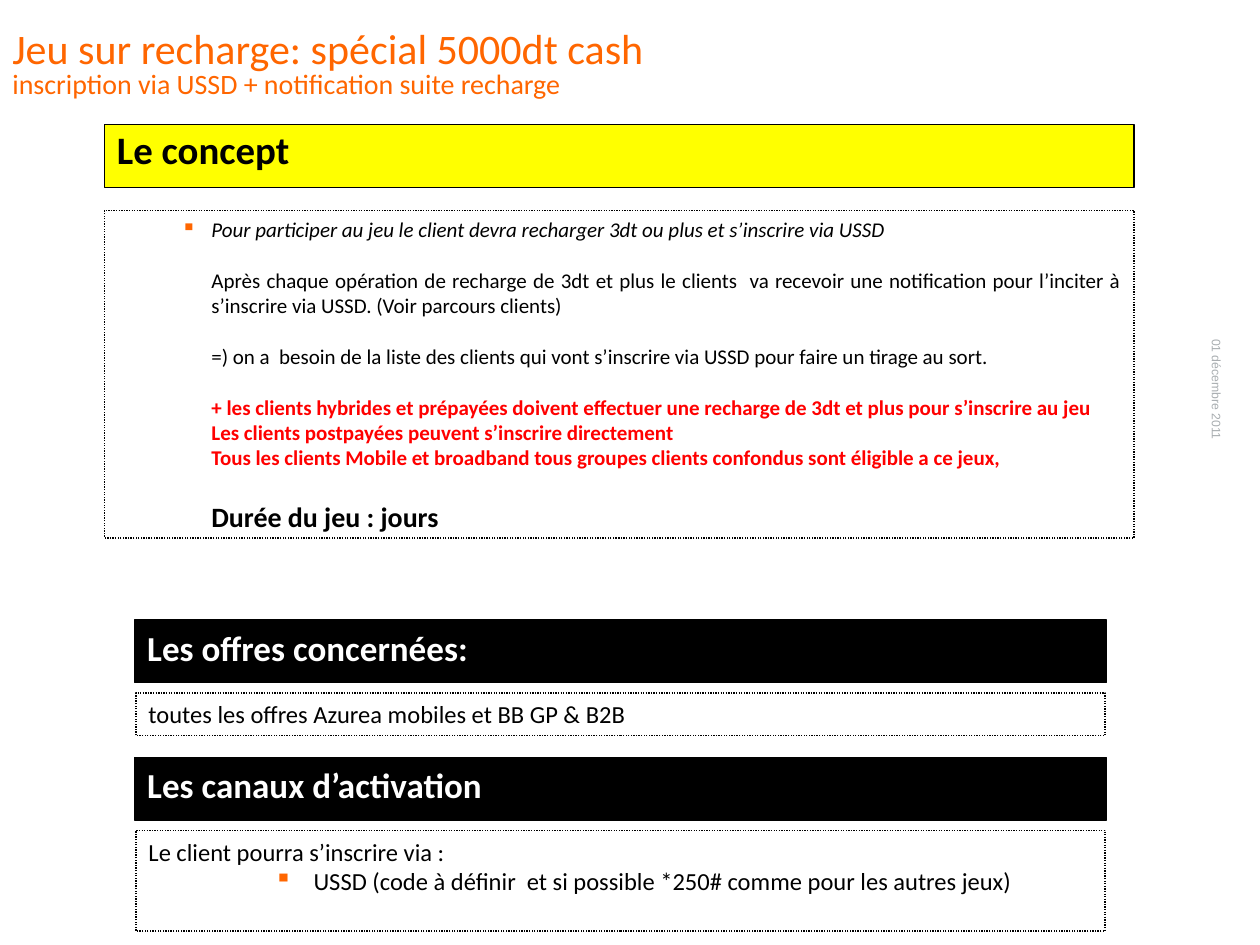
from dataclasses import dataclass

import pptx
import pptx.util
import pptx.dml.color
import pptx.enum.dml
import pptx.enum.shapes
import pptx.enum.text
from lxml import etree
from pptx.oxml.ns import qn
from pptx.util import Inches, Pt

ALIGN = pptx.enum.text.PP_ALIGN


@dataclass(frozen=True)
class Theme:
    font: str = "Calibri"
    date_font: str = "Arial"
    orange: str = "FF6600"
    yellow: str = "FFFF00"
    black: str = "000000"
    white: str = "FFFFFF"
    red: str = "FF0000"
    grey: str = "A8ADB0"
    title: float = 24
    subtitle: float = 16
    concept: float = 22.2
    heading: float = 20
    body: float = 14
    detail: float = 12
    date: float = 7
    line_height: float = 1.22
    outline: float = 0.75


THEME = Theme()


def color(value):
    return pptx.dml.color.RGBColor.from_string(value)


def prepare_frame(shape, inset=True):
    frame = shape.text_frame
    frame.word_wrap = True
    frame.vertical_anchor = pptx.enum.text.MSO_ANCHOR.TOP
    frame.margin_left = frame.margin_right = Inches(0.1 if inset else 0)
    frame.margin_top = frame.margin_bottom = Inches(0.05 if inset else 0)
    return frame


def add_panel(slide, box, fill=None):
    """Add a rectangle: filled with a solid outline, or empty with a dotted one."""
    panel = slide.shapes.add_shape(
        pptx.enum.shapes.MSO_SHAPE.RECTANGLE, *map(Inches, box))
    panel.shadow.inherit = False
    panel.line.color.rgb = color(THEME.black)
    panel.line.width = Pt(THEME.outline)
    if fill:
        panel.fill.solid()
        panel.fill.fore_color.rgb = color(fill)
    else:
        panel.fill.background()
        panel.line.dash_style = pptx.enum.dml.MSO_LINE.ROUND_DOT
    return prepare_frame(panel)


def add_para(frame, text, size, ink=THEME.black, font=THEME.font, bold=False,
             italic=False, align=ALIGN.LEFT, spacing=1.0, before=0,
             left=0, indent=0, bullet=False):
    first = frame.paragraphs[0]
    para = frame.add_paragraph() if first.runs else first
    para.alignment = align
    para.line_spacing = spacing
    para.space_before = Pt(before)
    props = para._p.get_or_add_pPr()
    props.set("marL", str(Inches(left)))
    props.set("indent", str(Inches(indent)))
    if bullet:
        tint = etree.SubElement(props, qn("a:buClr"))
        etree.SubElement(tint, qn("a:srgbClr"), val=THEME.orange)
        etree.SubElement(props, qn("a:buChar"), char="▪")
    span = para.add_run()
    span.text = text
    span.font.name = font
    span.font.size = Pt(size)
    span.font.bold = bold
    span.font.italic = italic
    span.font.color.rgb = color(ink)


def add_title(slide, box):
    frame = prepare_frame(slide.shapes.add_textbox(*map(Inches, box)))
    for text, size in (
            ("Jeu sur recharge: spécial 5000dt cash", THEME.title),
            ("inscription via USSD + notification suite recharge", THEME.subtitle)):
        add_para(frame, text, size, THEME.orange, spacing=0.8)


def add_side_date(slide, box):
    label = slide.shapes.add_textbox(*map(Inches, box))
    label.rotation = 90
    add_para(prepare_frame(label, inset=False), "01 décembre 2011", THEME.date,
             THEME.grey, THEME.date_font, align=ALIGN.CENTER)


def add_concept(slide, box):
    left, top, width, height = box
    heading = add_panel(slide, (left, top, width, 0.5), THEME.yellow)
    add_para(heading, "Le concept", THEME.concept, bold=True, spacing=0.9)

    frame = add_panel(slide, (left, top + 0.68, width, height - 0.68))
    gap = THEME.detail * THEME.line_height
    add_para(frame, "Pour participer au jeu le client devra recharger 3dt ou plus "
             "et s’inscrire via USSD", THEME.detail, italic=True,
             left=0.75, indent=-0.24, bullet=True)
    for text in (
            "Après chaque opération de recharge de 3dt et plus le clients  va recevoir "
            "une notification pour l’inciter à s’inscrire via USSD. (Voir parcours clients)",
            "=) on a  besoin de la liste des clients qui vont s’inscrire via USSD "
            "pour faire un tirage au sort."):
        add_para(frame, text, THEME.detail, align=ALIGN.JUSTIFY, before=gap, left=0.75)
    conditions = (
        "+ les clients hybrides et prépayées doivent effectuer une recharge de 3dt "
        "et plus pour s’inscrire au jeu",
        "Les clients postpayées peuvent s’inscrire directement",
        "Tous les clients Mobile et broadband tous groupes clients confondus "
        "sont éligible a ce jeux,")
    for index, text in enumerate(conditions):
        add_para(frame, text, THEME.detail, THEME.red, bold=True, align=ALIGN.JUSTIFY,
                 before=0 if index else gap, left=0.75)
    add_para(frame, "Durée du jeu : jours", THEME.subtitle, bold=True,
             before=THEME.body * THEME.line_height, left=0.75)


def add_section(slide, box, heading):
    """Add a black heading with a dotted panel below it; return the panel's text."""
    left, top, width, height = box
    bar = add_panel(slide, (left, top, width, 0.5), THEME.black)
    add_para(bar, heading, THEME.heading, THEME.white, bold=True)
    return add_panel(slide, (left + 0.01, top + 0.58, width - 0.02, height - 0.58))


def main():
    deck = pptx.Presentation()
    deck.slide_width, deck.slide_height = Inches(10), Inches(7.5)
    slide = deck.slides.add_slide(deck.slide_layouts[6])

    add_side_date(slide, (8.56, 3.03, 2.19, 0.12))
    add_title(slide, (0, 0.21, 10, 0.68))
    add_concept(slide, (0.83, 0.99, 8.17, 3.28))

    offers = add_section(slide, (1.07, 4.92, 7.71, 0.92), "Les offres concernées:")
    add_para(offers, "toutes les offres Azurea mobiles et BB GP & B2B", THEME.body)

    channels = add_section(slide, (1.07, 6.01, 7.71, 1.38), "Les canaux d’activation")
    add_para(channels, "Le client pourra s’inscrire via :", THEME.body,
             align=ALIGN.JUSTIFY)
    add_para(channels, "USSD (code à définir  et si possible *250# comme pour "
             "les autres jeux)", THEME.body, align=ALIGN.JUSTIFY,
             left=1.31, indent=-0.31, bullet=True)

    deck.save("out.pptx")


if __name__ == "__main__":
    main()
